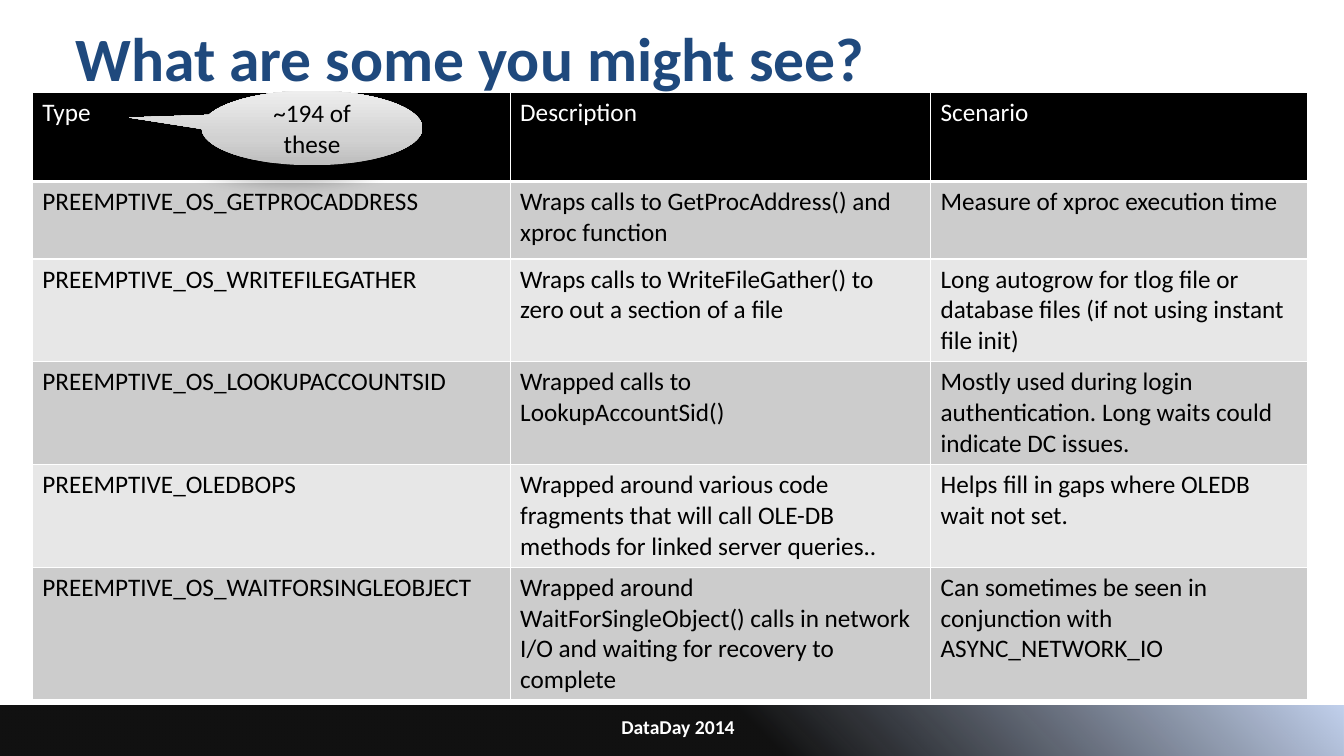
from typing import NamedTuple

from lxml import etree
from pptx import Presentation
from pptx import util as u
from pptx.dml.color import RGBColor
from pptx.enum import shapes, text
from pptx.oxml import parse_xml
from pptx.oxml.ns import nsdecls, qn

FONT = "Calibri"
WHITE, BLACK, NAVY = "FFFFFF", "000000", "1F497D"
BAND_FILLS = ("CCCCCC", "E7E7E7")
COLUMN_WIDTHS = (4.74, 4.17, 3.74)
ROW_HEIGHTS = (0.88, 0.77, 1.02, 1.02, 1.02, 1.31)


class Place(NamedTuple):
    left: float
    top: float
    width: float
    height: float

    def lengths(self) -> list[u.Length]:
        return [u.Inches(value) for value in self]


class Stop(NamedTuple):
    position: int
    color: str
    opacity: int = 100


class Panel(NamedTuple):
    place: Place
    angle: int
    stops: tuple[Stop, ...]


class Caption(NamedTuple):
    words: str
    place: Place
    size: int
    align: text.PP_ALIGN
    color: str


class WaitType(NamedTuple):
    name: str
    description: str
    scenario: str


PANELS = (
    Panel(Place(0, 0, 13.33, 0.94), 90,
          (Stop(0, "DCE6F2", 41), Stop(0, "C6D9F1"), Stop(100, "E1E8F5", 16))),
    Panel(Place(0, 7, 13.33, 0.51), 315,
          (Stop(56, BLACK, 93), Stop(100, "C2D1ED"), Stop(100, "E1E8F5", 16))),
)
CAPTIONS = (
    Caption("What are some you might see?", Place(0.65, -0.06, 12, 1.25), 44,
            text.PP_ALIGN.LEFT, NAVY),
    Caption("DataDay 2014", Place(3.78, 7, 5.89, 0.42), 14, text.PP_ALIGN.CENTER, WHITE),
)
CALLOUT = Panel(Place(2, 0.9, 2.19, 0.74), 270,
                (Stop(0, "BDBDBD"), Stop(35, "D1D1D1"), Stop(100, "EEEEEE")))
HEADER = WaitType("Type", "Description", "Scenario")
WAIT_TYPES = (
    WaitType("PREEMPTIVE_OS_GETPROCADDRESS",
             "Wraps calls to GetProcAddress() and xproc function",
             "Measure of xproc execution time"),
    WaitType("PREEMPTIVE_OS_WRITEFILEGATHER",
             "Wraps calls to WriteFileGather() to zero out a section of a file",
             "Long autogrow for tlog file or database files (if not using instant file init)"),
    WaitType("PREEMPTIVE_OS_LOOKUPACCOUNTSID",
             "Wrapped calls to\nLookupAccountSid()",
             "Mostly used during login authentication. Long waits could indicate DC issues."),
    WaitType("PREEMPTIVE_OLEDBOPS",
             "Wrapped around various code fragments that will call OLE-DB methods "
             "for linked server queries..",
             "Helps fill in gaps where OLEDB wait not set."),
    WaitType("PREEMPTIVE_OS_WAITFORSINGLEOBJECT",
             "Wrapped around WaitForSingleObject() calls in network I/O and waiting "
             "for recovery to complete",
             "Can sometimes be seen in conjunction with ASYNC_NETWORK_IO"),
)


def rgb(color: str) -> RGBColor:
    return RGBColor.from_string(color)


def write(frame, words: str, size: int, color: str, bold: bool = False,
          align: text.PP_ALIGN = text.PP_ALIGN.LEFT) -> None:
    """Fill a text frame with one paragraph; a newline becomes a line break."""
    frame.word_wrap = True
    para = frame.paragraphs[0]
    para.alignment = align
    for index, line in enumerate(words.split("\n")):
        if index:
            para.add_line_break()
        span = para.add_run()
        span.text = line
        span.font.name = FONT
        span.font.size = u.Pt(size)
        span.font.bold = bold
        span.font.color.rgb = rgb(color)


def add_panel(page, panel: Panel, kind=shapes.MSO_SHAPE.RECTANGLE):
    """Add a borderless shape with a linear gradient."""
    shape = page.shapes.add_shape(kind, *panel.place.lengths())
    shape.shadow.inherit = False
    shape.line.fill.background()
    stops = "".join(
        f'<a:gs pos="{stop.position * 1000}"><a:srgbClr val="{stop.color}">'
        f'<a:alpha val="{stop.opacity * 1000}"/></a:srgbClr></a:gs>'
        for stop in panel.stops)
    gradient = parse_xml(
        f'<a:gradFill {nsdecls("a")} rotWithShape="1"><a:gsLst>{stops}</a:gsLst>'
        f'<a:lin ang="{panel.angle * 60000}" scaled="0"/></a:gradFill>')
    shape.element.spPr.find(qn("a:prstGeom")).addnext(gradient)
    return shape


def add_caption(page, caption: Caption) -> None:
    box = page.shapes.add_textbox(*caption.place.lengths())
    box.text_frame.vertical_anchor = text.MSO_ANCHOR.MIDDLE
    write(box.text_frame, caption.words, caption.size, caption.color, True, caption.align)


def add_borders(cell, top: int, bottom: int) -> None:
    """Draw white cell borders; top and bottom widths are in points."""
    properties = cell._tc.get_or_add_tcPr()
    for side, width in (("L", 1), ("R", 1), ("T", top), ("B", bottom)):
        line = etree.SubElement(properties, qn(f"a:ln{side}"), w=str(u.Pt(width)))
        fill = etree.SubElement(line, qn("a:solidFill"))
        etree.SubElement(fill, qn("a:srgbClr"), val=WHITE)


def add_wait_table(page) -> None:
    place = Place(0.32, 0.92, sum(COLUMN_WIDTHS), sum(ROW_HEIGHTS))
    rows = (HEADER, *WAIT_TYPES)
    table = page.shapes.add_table(len(rows), len(HEADER), *place.lengths()).table
    for column, width in zip(table.columns, COLUMN_WIDTHS):
        column.width = u.Inches(width)
    for index, (row, height, wait) in enumerate(zip(table.rows, ROW_HEIGHTS, rows)):
        row.height = u.Inches(height)
        is_header = index == 0
        for cell, words in zip(row.cells, wait):
            add_borders(cell, 3 if index == 1 else 1, 3 if is_header else 1)
            cell.fill.solid()
            cell.fill.fore_color.rgb = rgb(BLACK if is_header else BAND_FILLS[(index - 1) % 2])
            write(cell.text_frame, words, 18, WHITE if is_header else BLACK)


def add_callout(page) -> None:
    callout = add_panel(page, CALLOUT, shapes.MSO_SHAPE.OVAL_CALLOUT)
    callout.adjustments[0] = -0.83
    callout.adjustments[1] = -0.14
    callout.element.spPr.find(qn("a:effectLst")).append(parse_xml(
        f'<a:outerShdw {nsdecls("a")} blurRad="{u.Pt(11.8)}" dist="{u.Pt(19.7)}" '
        f'dir="{141 * 60000}" rotWithShape="0"><a:srgbClr val="{BLACK}">'
        '<a:alpha val="28000"/></a:srgbClr></a:outerShdw>'))
    callout.text_frame.vertical_anchor = text.MSO_ANCHOR.MIDDLE
    write(callout.text_frame, "~194 of these", 18, BLACK, align=text.PP_ALIGN.CENTER)


def main() -> None:
    deck = Presentation()
    deck.slide_width, deck.slide_height = u.Inches(13.33), u.Inches(7.5)
    page = deck.slides.add_slide(deck.slide_layouts[6])
    for panel in PANELS:
        add_panel(page, panel)
    for caption in CAPTIONS:
        add_caption(page, caption)
    add_wait_table(page)
    add_callout(page)
    deck.save("out.pptx")


if __name__ == "__main__":
    main()
